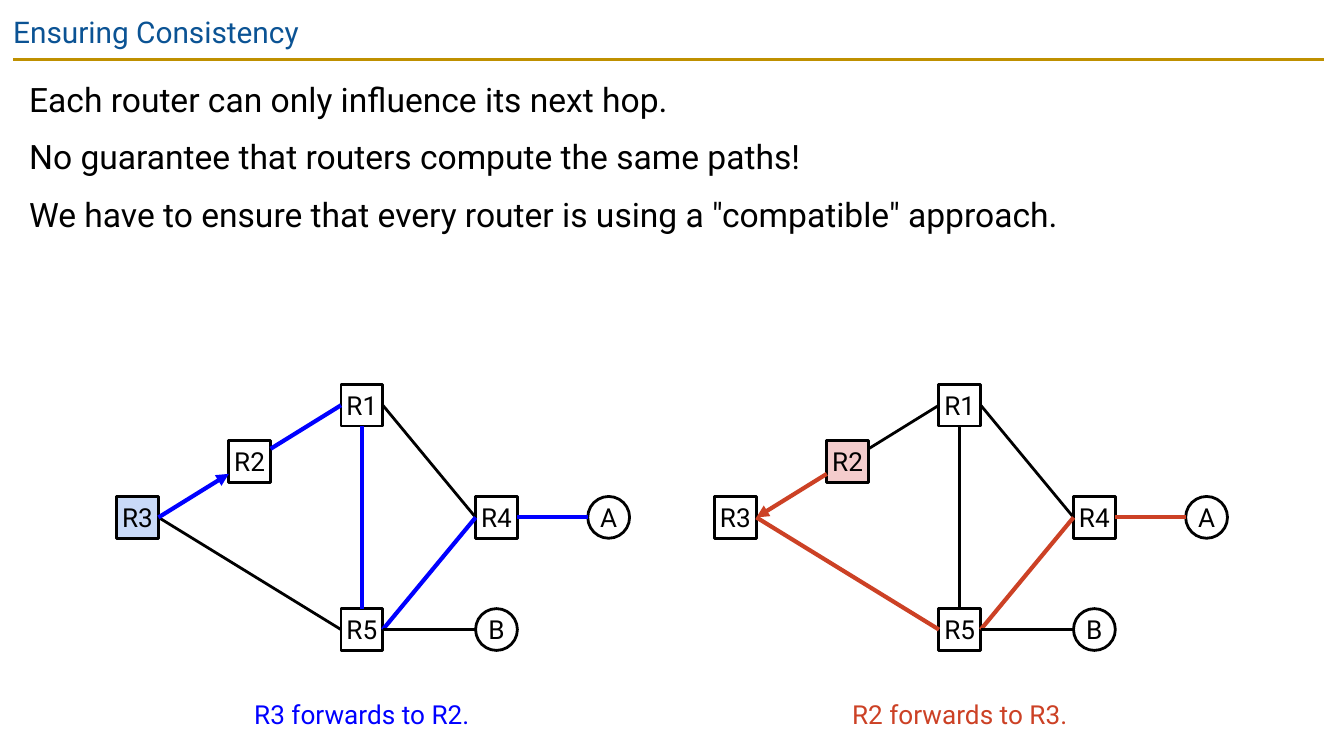
from lxml.etree import SubElement
from pptx import Presentation
from pptx.dml.color import RGBColor
from pptx.enum.shapes import MSO_CONNECTOR, MSO_SHAPE
from pptx.enum.text import MSO_ANCHOR, MSO_AUTO_SIZE, PP_ALIGN
from pptx.oxml.ns import qn
from pptx.util import Cm, Pt

TITLE = "Ensuring Consistency"
BODY = [
    "Each router can only influence its next hop.",
    "No guarantee that routers compute the same paths!",
    "We have to ensure that every router is using a \"compatible\" approach.",
]
NODES = {
    "R3": (0, 1), "R2": (1, 0.5), "R1": (2, 0), "R5": (2, 2),
    "R4": (3.2, 1), "A": (4.2, 1), "B": (3.2, 2),
}
HOSTS = "AB"
LEFT, RIGHT, TOP, BASE = (-0.5, 0), (0.5, 0), (0, -0.5), (0, 0.5)
LINKS = {
    ("R2", "R1"): ((0.5, -0.3), LEFT),
    ("R3", "R5"): (RIGHT, LEFT),
    ("R5", "R1"): (TOP, BASE),
    ("R4", "R1"): (LEFT, RIGHT),
    ("R5", "R4"): (RIGHT, LEFT),
    ("R3", "R2"): (RIGHT, (-0.5, 0.3)),
    ("R4", "A"): (RIGHT, LEFT),
    ("R5", "B"): (RIGHT, LEFT),
}
GRAPHS = [
    {"x": 2.6, "hop": ("R3", "R2"), "tint": "C9DAF8", "hue": "0000FF",
     "route": [("R3", "R2"), ("R2", "R1"), ("R5", "R1"), ("R5", "R4"), ("R4", "A")]},
    {"x": 13.9, "hop": ("R2", "R3"), "tint": "F4CCCC", "hue": "CC4125",
     "route": [("R3", "R2"), ("R3", "R5"), ("R5", "R4"), ("R4", "A")]},
]
STEP, SIDE, Y = 2.12, 0.79, 7.66
BLACK, WHITE = "000000", "FFFFFF"


def color(code):
    return RGBColor.from_string(code)


def write(shape, *lines, size=14, hue=BLACK, pad=0.0, align=PP_ALIGN.LEFT,
          anchor=MSO_ANCHOR.TOP, wrap=True, gap=0, lead=1.0):
    frame = shape.text_frame
    frame.word_wrap, frame.auto_size = wrap, MSO_AUTO_SIZE.NONE
    frame.vertical_anchor = anchor
    frame.margin_left = frame.margin_right = Cm(pad)
    frame.margin_top = frame.margin_bottom = Cm(pad)
    for i, line in enumerate(lines):
        para = frame.add_paragraph() if i else frame.paragraphs[0]
        props = para._p.get_or_add_pPr()
        props.set("marL", "0")
        props.set("indent", "0")
        SubElement(props, qn("a:buNone"))
        para.alignment, para.line_spacing = align, lead
        para.space_before = Pt(gap if i else 0)
        run = para.add_run()
        run.text = line
        run.font.name, run.font.size = "Roboto", Pt(size)
        run.font.color.rgb = color(hue)


def place(shape, *box):
    shape.left, shape.top, shape.width, shape.height = map(Cm, box)


def draw(start, end, hue=BLACK, width=1.5, arrow=False):
    line = slide.shapes.add_connector(MSO_CONNECTOR.STRAIGHT, *map(Cm, start + end))
    line.line.color.rgb, line.line.width = color(hue), Pt(width)
    if arrow:
        SubElement(line.line._get_or_add_ln(), qn("a:tailEnd"), type="triangle")
    SubElement(line._element.spPr, qn("a:effectLst"))


def center(name, x):
    col, row = NODES[name]
    return x + col * STEP, Y + row * STEP


def port(name, x, shift):
    cx, cy = center(name, x)
    return cx + shift[0] * SIDE, cy + shift[1] * SIDE


def node(name, x, fill):
    kind = MSO_SHAPE.OVAL if name in HOSTS else MSO_SHAPE.RECTANGLE
    left, top = port(name, x, (-0.5, -0.5))
    shape = slide.shapes.add_shape(kind, *map(Cm, (left, top, SIDE, SIDE)))
    shape.shadow.inherit = False
    shape.fill.solid()
    shape.fill.fore_color.rgb = color(fill)
    shape.line.color.rgb, shape.line.width = color(BLACK), Pt(1.5)
    write(shape, name, align=PP_ALIGN.CENTER, anchor=MSO_ANCHOR.MIDDLE, wrap=False)


def graph(x, hop, tint, hue, route):
    for name in NODES:
        node(name, x, tint if name == hop[0] else WHITE)
    for pair, shifts in LINKS.items():
        ends = [port(name, x, shift) for name, shift in zip(pair, shifts)]
        if pair == hop[::-1]:
            ends.reverse()
        style = {"hue": hue, "width": 2.25} if pair in route else {}
        draw(*ends, arrow=set(pair) == set(hop), **style)
    wide = 4.11
    mid = center("R1", x)[0]
    note = slide.shapes.add_textbox(*map(Cm, (mid - wide / 2, 13.2, wide, 0.6)))
    write(note, f"{hop[0]} forwards to {hop[1]}.", hue=hue,
          align=PP_ALIGN.CENTER, wrap=False)


deck = Presentation()
deck.slide_width, deck.slide_height = Cm(25.4), Cm(14.29)
slide = deck.slides.add_slide(deck.slide_layouts[1])
title, body = slide.placeholders
place(title, 0, 0, 25.4, 1.1)
write(title, TITLE, size=16, hue="0B5394", pad=0.25)
place(body, 0.3, 1.12, 24.74, 5.26)
write(body, *BODY, size=18, pad=0.25, gap=6, lead=1.15)
draw((0.25, 1.12), (25.02, 1.12), hue="BF9000")
for item in GRAPHS:
    graph(**item)
deck.save("out.pptx")
